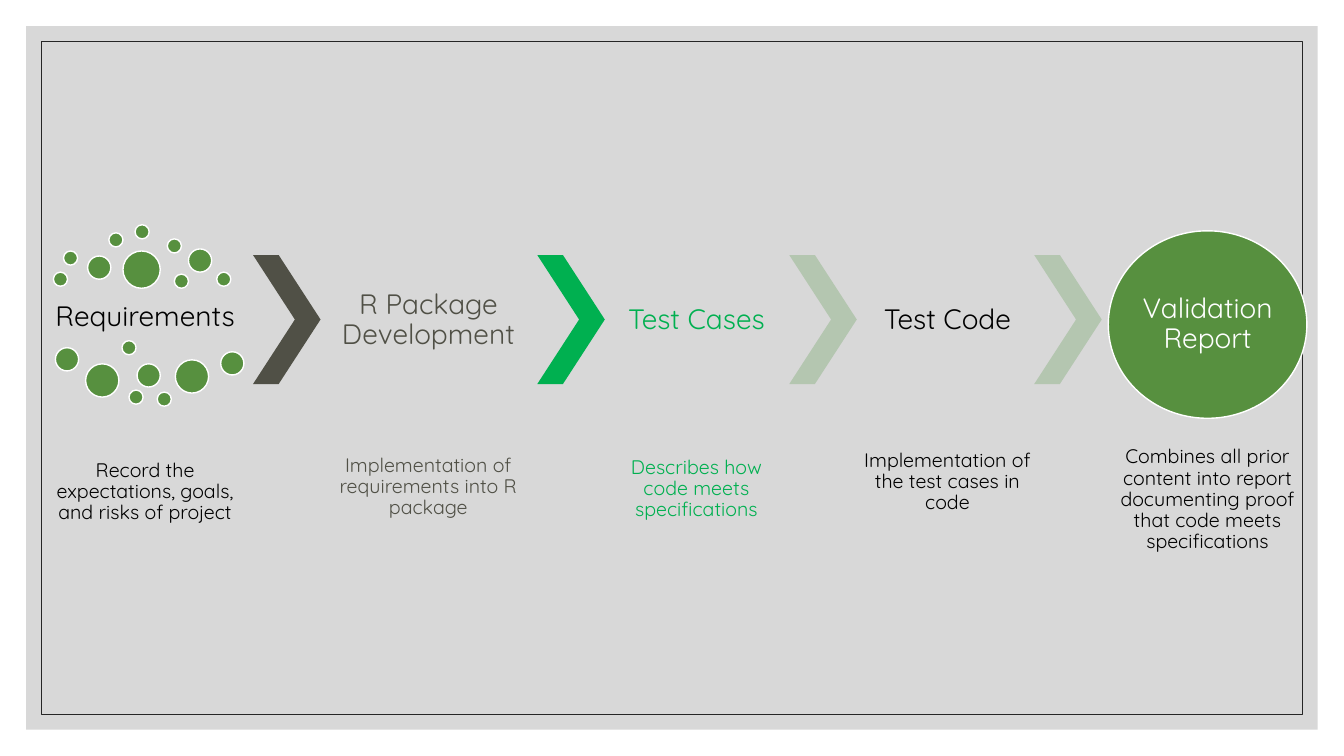
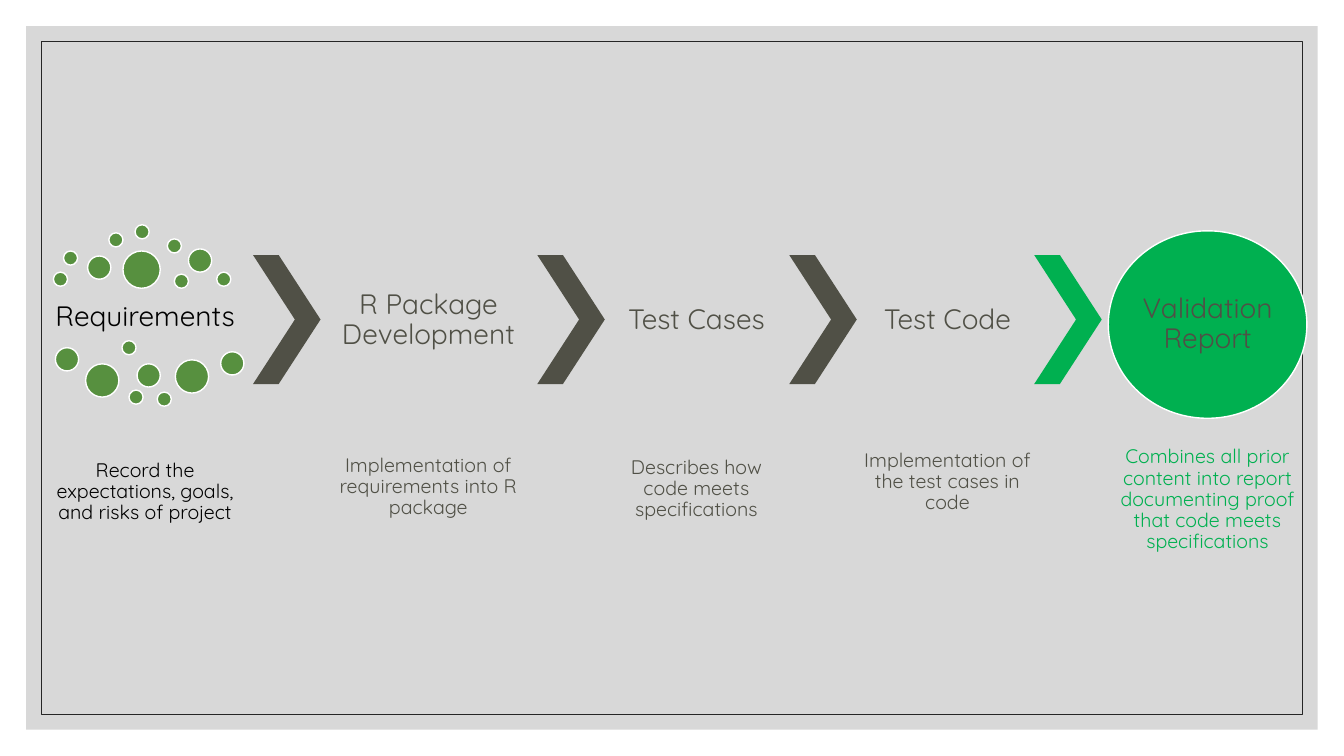
from dataclasses import dataclass
from lxml import etree
from pptx import Presentation
from pptx import util as u
from pptx.dml.color import RGBColor
from pptx.enum import shapes, text
from pptx.oxml import ns

KIND = shapes.MSO_SHAPE


@dataclass(frozen=True)
class Theme:
    font: str = "Quicksand"
    head: int = 20
    note: int = 14
    ink: str = "000000"
    done: str = "505046"
    live: str = "00B050"
    pale: str = "B4C6B0"
    leaf: str = "57903F"
    white: str = "FFFFFF"
    panel: str = "BFBFBF"
    frame: str = "262626"


# Slide grid: 80 columns by 45 rows of square cells
COLS, ROWS = 80, 45
WIDE, HIGH = u.Inches(13.33), u.Inches(7.5)

# Stages: title, note, centre column, title width, top row of the note
STAGES = [
    ("Requirements", "Record the expectations, goals, and risks of project",
     8.64, 12.78, 25.92),
    ("R Package Development", "Implementation of requirements into R package",
     25.5, 12.96, 25.62),
    ("Test Cases", "Describes how code meets specifications",
     41.46, 10.92, 25.74),
    ("Test Code", "Implementation of the test cases in code",
     56.4, 10.92, 25.32),
    ("Validation Report", "Combines all prior content into report documenting "
     "proof that code meets specifications", 71.88, 11.82, 26.4),
]
ARROWS = [15.06, 31.98, 46.98, 61.56]

# Dots: diameter, then the left column and top row of each
DOTS = {
    0.84: [(3.18, 16.2), (3.78, 14.94), (6.48, 13.86), (8.04, 13.38),
           (9.96, 14.22), (12.9, 16.2), (10.38, 16.32), (7.26, 20.28),
           (7.68, 23.22), (9.36, 23.34)],
    1.38: [(5.22, 15.24), (11.22, 14.82), (3.3, 20.7), (8.16, 21.66),
           (13.14, 20.94)],
    1.98: [(5.1, 21.66), (10.44, 21.42)],
    2.22: [(7.32, 14.94)],
}


class Deck:
    def __init__(self, theme):
        self.theme = theme
        self.prs = Presentation()
        self.prs.slide_width, self.prs.slide_height = WIDE, HIGH
        self.slide = None

    def place(self, x, y, w, h):
        return (round(x * WIDE / COLS), round(y * HIGH / ROWS),
                round(w * WIDE / COLS), round(h * HIGH / ROWS))

    def shape(self, kind, box, fill=None, line=None, width=1, alpha=None):
        item = self.slide.shapes.add_shape(kind, *self.place(*box))
        item.shadow.inherit = False
        if fill:
            item.fill.solid()
            item.fill.fore_color.rgb = RGBColor.from_string(fill)
        else:
            item.fill.background()
        if line:
            item.line.color.rgb = RGBColor.from_string(line)
            item.line.width = u.Pt(width)
        else:
            item.line.fill.background()
        if alpha:
            tint = item.element.spPr.find(".//" + ns.qn("a:srgbClr"))
            etree.SubElement(tint, ns.qn("a:alpha"), val=str(alpha * 1000))
        return item

    def words(self, item, line, size, color, inset=0):
        frame = item.text_frame
        frame.word_wrap = True
        frame.vertical_anchor = text.MSO_ANCHOR.MIDDLE
        frame.margin_left = frame.margin_right = u.Inches(inset)
        frame.margin_top = frame.margin_bottom = u.Inches(inset)
        para = frame.paragraphs[0]
        para.alignment = text.PP_ALIGN.CENTER
        para.line_spacing = 0.9
        para.space_after = u.Pt(0.35 * size)
        run = para.add_run()
        run.text = line
        run.font.name, run.font.size = self.theme.font, u.Pt(size)
        run.font.color.rgb = RGBColor.from_string(color)

    def label(self, line, mid, top, w, h, size, color):
        box = self.place(mid - w / 2, top, w, h)
        item = self.slide.shapes.add_textbox(*box)
        self.words(item, line, size, color, 0.02)

    def page(self):
        t = self.theme
        self.slide = self.prs.slides.add_slide(self.prs.slide_layouts[6])
        for edge, look in ((1.56, dict(fill=t.panel, alpha=60)),
                           (2.45, dict(line=t.frame, width=0.5))):
            box = (edge, edge, COLS - 2 * edge, ROWS - 2 * edge)
            self.shape(KIND.RECTANGLE, box, **look)

    def dots(self):
        for size, spots in DOTS.items():
            for x, y in spots:
                self.shape(KIND.OVAL, (x, y, size, size),
                           self.theme.leaf, self.theme.white)

    def arrow(self, x, color):
        item = self.shape(KIND.CHEVRON, (x, 15.18, 4.02, 7.68), color)
        item.adjustments[0] = 0.62

    def disc(self, line, mid, w, fill, color):
        item = self.shape(KIND.OVAL, (mid - w / 2, 13.74, w, 11.16),
                          fill, self.theme.white)
        self.words(item, line, self.theme.head, color)

    def tone(self, step, now, ahead):
        if step == now:
            return self.theme.live
        return self.theme.done if step < now else ahead

    def flow(self, now):
        """Draw the process with stage number now highlighted."""
        t = self.theme
        self.page()
        self.dots()
        last = len(STAGES) - 1
        for step, (head, note, mid, w, top) in enumerate(STAGES):
            color = self.tone(step, now, t.ink) if step else t.ink
            # Arrow leading into the stage
            if step:
                self.arrow(ARROWS[step - 1], self.tone(step, now, t.pale))
            # Title
            if step == last:
                fill, ink = ((t.live, t.done) if now == last
                             else (t.leaf, t.white))
                self.disc(head, mid, w, fill, ink)
            else:
                self.label(head, mid, 15.24 if step else 15.06, w, 7.68,
                           t.head, color)
            # Note
            self.label(note, mid, top, 10.92, 6.72, t.note, color)


def main():
    deck = Deck(Theme())
    for now in (2, 4):
        deck.flow(now)
    deck.prs.save("out.pptx")


if __name__ == "__main__":
    main()
